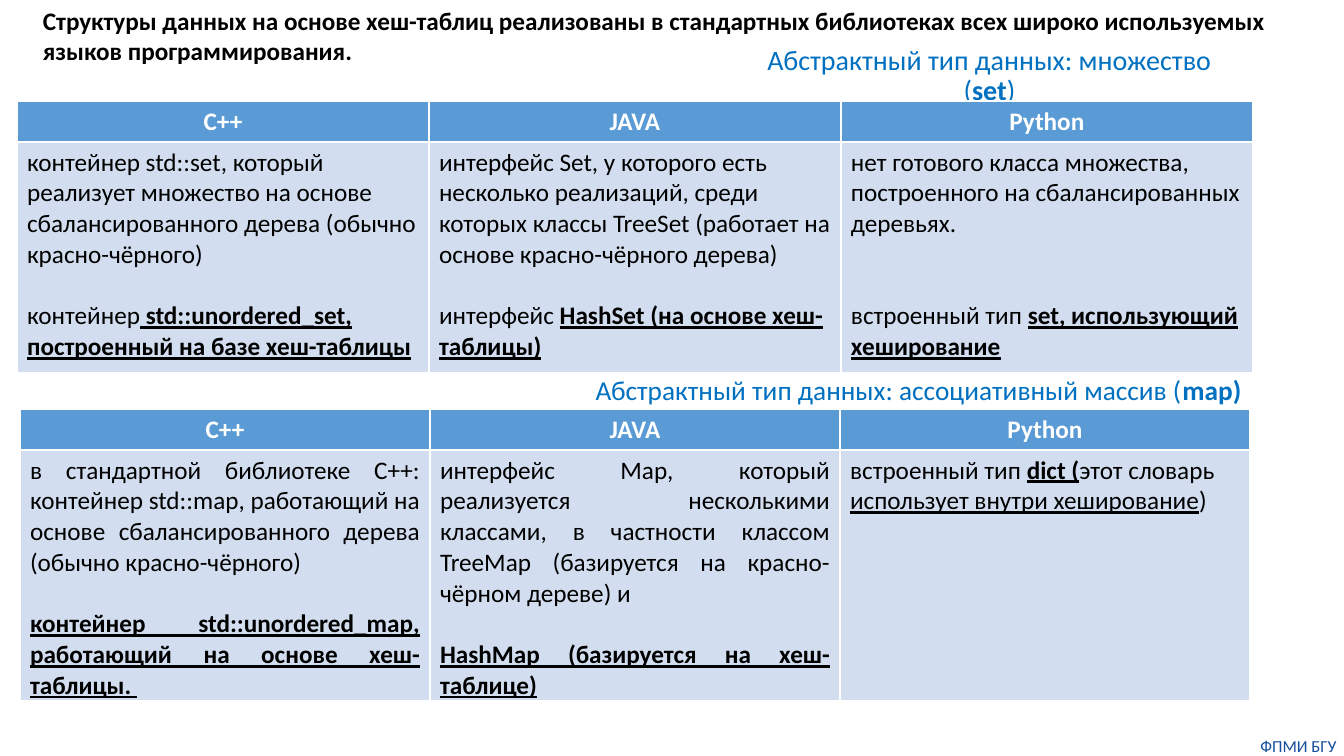
"""Builds a slide comparing set and map containers in C++, Java and Python."""
from dataclasses import dataclass

from pptx import Presentation
from pptx import util as u
from pptx.dml.color import RGBColor
from pptx.enum import text

PIXEL = u.Inches(1) / 100.8


@dataclass(frozen=True)
class Theme:
    font: str = "Calibri"
    black: str = "000000"
    white: str = "FFFFFF"
    blue: str = "0070C0"
    navy: str = "144E9D"
    header: str = "5B9BD5"
    body: str = "D2DEEF"
    body_size: float = 18
    set_size: float = 20
    map_size: float = 19.5
    footer_size: float = 12
    line: float = 22


theme = Theme()
LEFT, CENTER, JUSTIFY = text.PP_ALIGN.LEFT, text.PP_ALIGN.CENTER, text.PP_ALIGN.JUSTIFY


def px(*lengths):
    return [u.Emu(round(length * PIXEL)) for length in lengths]


def write(para, spans, size, color, align):
    para.alignment = align
    for words, style in spans:
        span = para.add_run()
        span.text = words
        span.font.name = theme.font
        span.font.size = u.Pt(size)
        span.font.color.rgb = RGBColor.from_string(color)
        span.font.bold = "b" in style
        span.font.underline = "u" in style


languages = ["С++", "JAVA", "Python"]

map_cells = [
    (JUSTIFY, [
        (0, [("в стандартной библиотеке С++: контейнер std::map, работающий на основе "
              "сбалансированного дерева (обычно красно-чёрного)", "")]),
        (1, [("контейнер std::unordered_map, работающий на основе хеш-таблицы. ", "bu")]),
    ]),
    (JUSTIFY, [
        (0, [("интерфейс Map, который реализуется несколькими классами, в частности "
              "классом TreeMap (базируется на красно-чёрном дереве) и ", "")]),
        (1, [("HashMap (базируется на хеш-таблице)", "bu")]),
    ]),
    (LEFT, [
        (0, [("встроенный тип ", ""), ("dict (", "bu"), ("этот словарь ", ""),
             ("использует внутри хеширование", "u"), (")", "")]),
    ]),
]

set_cells = [
    (LEFT, [
        (0, [("контейнер std::set, который реализует множество на основе "
              "сбалансированного дерева (обычно красно-чёрного)", "")]),
        (1, [("контейнер", ""),
             (" std::unordered_set, построенный на базе хеш-таблицы", "bu"), (" ", "")]),
    ]),
    (LEFT, [
        (0, [("интерфейс Set, у которого есть несколько реализаций, среди которых "
              "классы TreeSet (работает на основе красно-чёрного дерева)", "")]),
        (1, [("интерфейс ", ""), ("HashSet (на основе хеш-таблицы)", "bu")]),
    ]),
    (LEFT, [
        (0, [("нет готового класса множества, построенного на сбалансированных "
              "деревьях.", "")]),
        (2, [("встроенный тип ", ""), ("set, использующий хеширование", "bu")]),
    ]),
]

footer = ((1253, 736, 91, 20), [("ФПМИ БГУ", "")], theme.footer_size, theme.navy, CENTER)
set_title = ((729, 55, 521, 43),
             [("Абстрактный тип данных: множество (", ""), ("set", "b"), (")", "")],
             theme.set_size, theme.blue, CENTER)
map_title = ((583, 370, 671, 43),
             [("Абстрактный тип данных: ассоциативный массив (", ""), ("map)", "b")],
             theme.map_size, theme.blue, CENTER)
intro = ((33, 0, 1278, 72),
         [("Структуры данных на основе хеш-таблиц реализованы в стандартных библиотеках "
           "всех широко используемых языков программирования. ", "b")],
         theme.body_size, theme.black, LEFT)
map_table = ((20, 409, 1230, 292), map_cells)
set_table = ((17, 101, 1236, 272), set_cells)
HEADER_HEIGHT = 41

deck = Presentation()
deck.slide_width, deck.slide_height = px(1344, 756)
page = deck.slides.add_slide(deck.slide_layouts[6])

for item in (footer, map_table, set_title, set_table, map_title, intro):
    place = item[0]
    if item in (map_table, set_table):
        table = page.shapes.add_table(2, len(languages), *px(*place)).table
        table.rows[0].height, table.rows[1].height = px(HEADER_HEIGHT, place[3] - HEADER_HEIGHT)
        for column, (language, (align, paragraphs)) in enumerate(zip(languages, item[1])):
            table.columns[column].width = px(place[2] / len(languages))[0]
            head, body = table.cell(0, column), table.cell(1, column)
            for cell, color in ((head, theme.header), (body, theme.body)):
                cell.fill.solid()
                cell.fill.fore_color.rgb = RGBColor.from_string(color)
            write(head.text_frame.paragraphs[0], [(language, "b")],
                  theme.body_size, theme.white, CENTER)
            body.margin_bottom = 0
            for number, (gap, spans) in enumerate(paragraphs):
                frame = body.text_frame
                para = frame.add_paragraph() if number else frame.paragraphs[0]
                para.space_before = u.Pt(gap * theme.line)
                write(para, spans, theme.body_size, theme.black, align)
    else:
        frame = page.shapes.add_textbox(*px(*place)).text_frame
        frame.word_wrap = True
        write(frame.paragraphs[0], *item[1:])
        if item in (set_title, map_title):
            frame.vertical_anchor = text.MSO_ANCHOR.MIDDLE
            frame.paragraphs[0].line_spacing = 0.9
        if item is footer:
            frame.margin_left = frame.margin_right = 0
            frame.margin_top = frame.margin_bottom = 0

deck.save("out.pptx")
